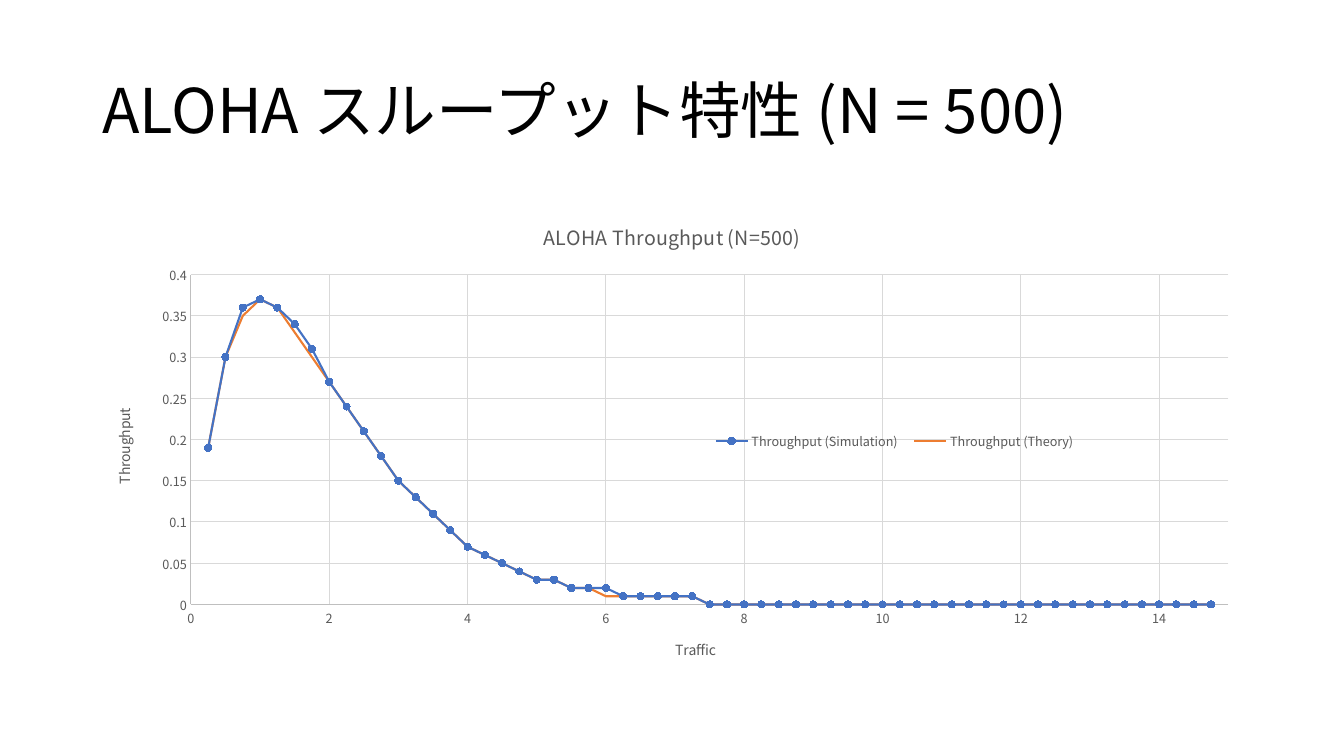
import math

from lxml import etree
from pptx import Presentation
from pptx import util as u
from pptx.chart import data as chart_data
from pptx.dml.color import RGBColor
from pptx.enum import chart as charts, text
from pptx.oxml import ns

FONT = "Noto Sans CJK JP"
COLORS = {
    "title": "000000",
    "label": "595959",
    "axis": "BFBFBF",
    "grid": "D9D9D9",
    "simulation": "4472C4",
    "theory": "ED7D31",
}

# Throughput of slotted ALOHA for traffic in steps of 0.25
TRAFFIC = [step / 4 for step in range(1, 60)]
THEORY = [round(load * math.exp(-load), 2) for load in TRAFFIC]
# The simulation differs from theory at a few loads only
DEVIATIONS = {0.75: 0.36, 1.5: 0.34, 1.75: 0.31, 6: 0.02}
SIMULATION = [DEVIATIONS.get(load, value) for load, value in zip(TRAFFIC, THEORY)]


def color(name):
    return RGBColor.from_string(COLORS[name])


def style_font(font, size, name):
    font.size = u.Pt(size)
    font.bold = False
    font.color.rgb = color(name)
    font.name = FONT


def style_line(line, name, width):
    line.color.rgb = color(name)
    line.width = u.Pt(width)


def add_span(para, words, size, name):
    span = para.add_run()
    span.text = words
    style_font(span.font, size, name)
    # Japanese glyphs take the same font
    east_asian = etree.SubElement(span.font._element, ns.qn("a:ea"))
    east_asian.set("typeface", FONT)


def set_layout(element, x, y, width, height, inner=False):
    """Place a chart part by fractions of the chart's size."""
    layout = element.find(ns.qn("c:layout"))
    if layout is None:
        layout = etree.Element(ns.qn("c:layout"))
        before = element.find(ns.qn("c:legendPos"))
        if before is None:
            element.insert(0, layout)
        else:
            before.addnext(layout)
    manual = etree.SubElement(layout, ns.qn("c:manualLayout"))
    settings = [("layoutTarget", "inner")] if inner else []
    settings += [("xMode", "edge"), ("yMode", "edge"),
                 ("x", x), ("y", y), ("w", width), ("h", height)]
    for tag, value in settings:
        etree.SubElement(manual, ns.qn("c:" + tag)).set("val", str(value))


def add_title(page, left, top, width, height):
    box = page.shapes.add_textbox(u.Pt(left), u.Pt(top), u.Pt(width), u.Pt(height))
    frame = box.text_frame
    frame.word_wrap = True
    frame.vertical_anchor = text.MSO_ANCHOR.MIDDLE
    para = frame.paragraphs[0]
    para.line_spacing = 0.9
    add_span(para, "ALOHA スループット特性 (N = 500)", 44, "title")


def style_axis(axis, title, maximum, step):
    axis.minimum_scale = 0
    axis.maximum_scale = maximum
    axis.major_unit = step
    axis.major_tick_mark = charts.XL_TICK_MARK.NONE
    axis.minor_tick_mark = charts.XL_TICK_MARK.NONE
    axis.has_major_gridlines = True
    style_line(axis.major_gridlines.format.line, "grid", 0.75)
    style_line(axis.format.line, "axis", 0.75)
    style_font(axis.tick_labels.font, 9, "label")
    axis.tick_labels.number_format = "General"
    axis.tick_labels.number_format_is_linked = False
    add_span(axis.axis_title.text_frame.paragraphs[0], title, 10, "label")


def add_throughput_chart(page, left, top, width, height):
    data = chart_data.XyChartData()
    for name, values in [("Throughput (Simulation)", SIMULATION),
                         ("Throughput (Theory)", THEORY)]:
        series = data.add_series(name)
        for load, value in zip(TRAFFIC, values):
            series.add_data_point(load, value)
    chart = page.shapes.add_chart(
        charts.XL_CHART_TYPE.XY_SCATTER_LINES,
        u.Pt(left), u.Pt(top), u.Pt(width), u.Pt(height), data).chart
    style_font(chart.font, 10, "title")

    # Title and axes
    chart.has_title = True
    add_span(chart.chart_title.text_frame.paragraphs[0],
             "ALOHA Throughput (N=500)", 14, "label")
    chart.chart_title.include_in_layout = False
    style_axis(chart.category_axis, "Traffic", 15, 2)
    style_axis(chart.value_axis, "Throughput", 0.4, 0.05)

    # Curves
    plot = chart.plots[0]
    plot.vary_by_categories = False
    for series, name in zip(plot.series, ("simulation", "theory")):
        style_line(series.format.line, name, 1.5)
        series.smooth = False
        series.marker.style = charts.XL_MARKER_STYLE.NONE
    marker = plot.series[0].marker
    marker.style = charts.XL_MARKER_STYLE.CIRCLE
    marker.size = 5
    marker.format.fill.solid()
    marker.format.fill.fore_color.rgb = color("simulation")
    style_line(marker.format.line, "simulation", 0.75)

    # Legend over the plot
    chart.has_legend = True
    legend = chart.legend
    legend.position = charts.XL_LEGEND_POSITION.RIGHT
    legend.include_in_layout = True
    style_font(legend.font, 9, "label")
    set_layout(legend._element, 0.527, 0.47, 0.33, 0.06)
    plot_area = chart._chartSpace.chart.plotArea
    set_layout(plot_area, 0.085, 0.153, 0.895, 0.688, inner=True)


def main():
    deck = Presentation()
    deck.slide_width, deck.slide_height = u.Pt(960), u.Pt(540)
    page = deck.slides.add_slide(deck.slide_layouts[6])
    add_title(page, 66, 28.75, 828, 104.4)
    add_throughput_chart(page, 66, 143.75, 828, 342.6)
    deck.save("out.pptx")


if __name__ == "__main__":
    main()
